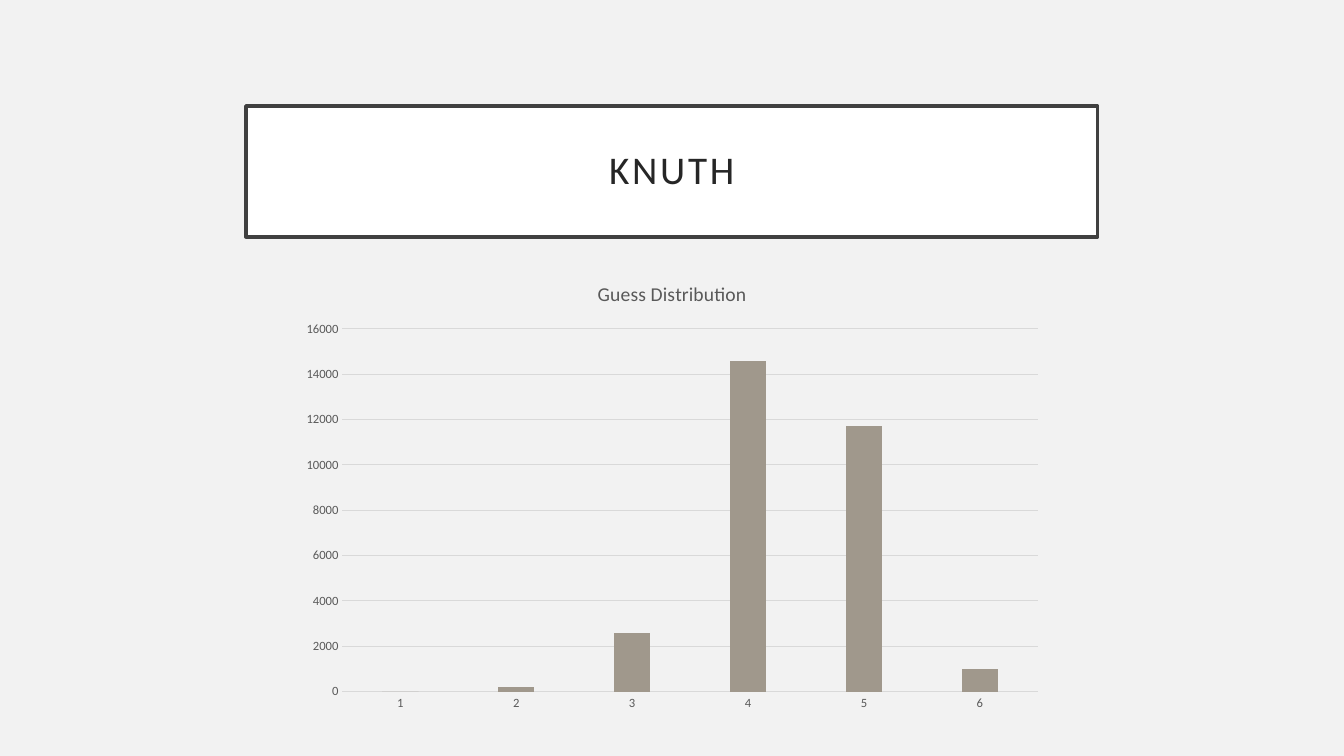
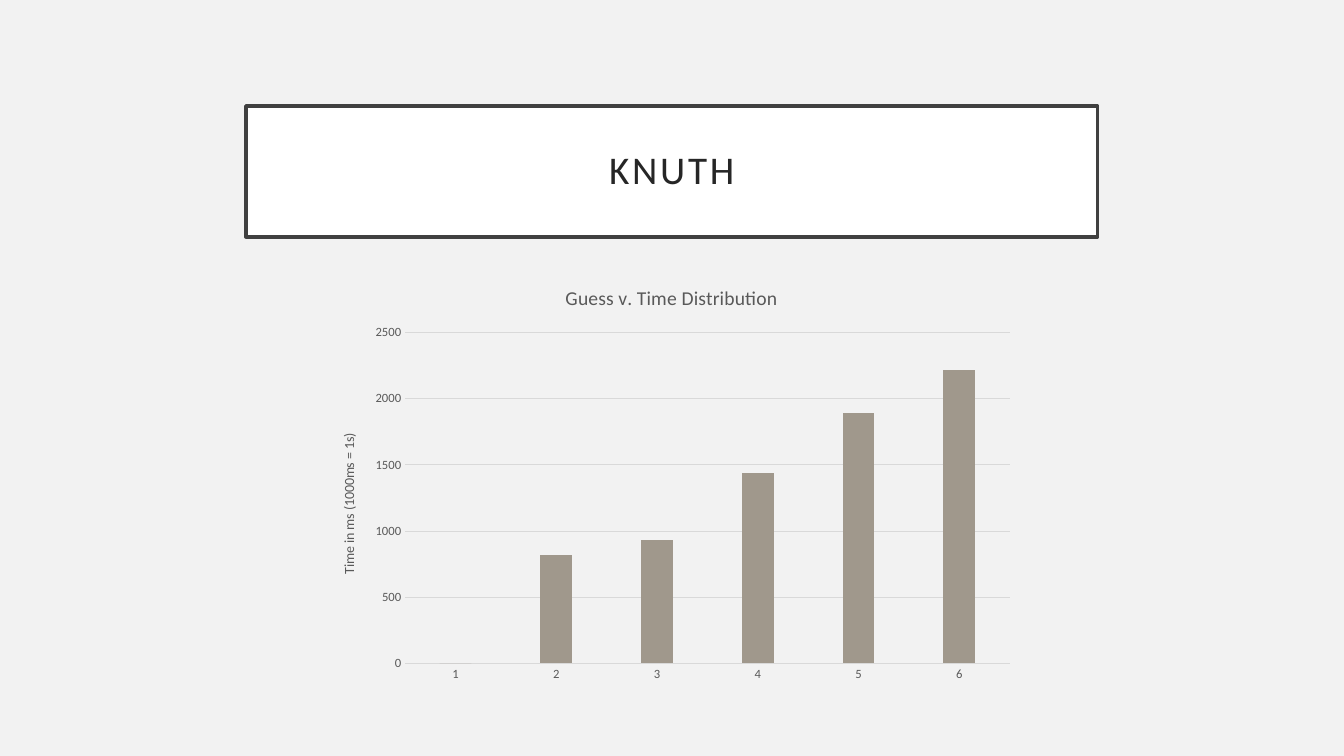
from dataclasses import dataclass

from pptx import Presentation
from pptx.chart.data import CategoryChartData
from pptx.dml.color import RGBColor
from pptx.enum.chart import XL_CHART_TYPE, XL_TICK_MARK
from pptx.enum.text import MSO_ANCHOR, MSO_AUTO_SIZE, PP_ALIGN
from pptx.oxml.ns import qn
from pptx.util import Cm, Pt


@dataclass(frozen=True)
class Theme:
    font: str = "Calibri"
    background: str = "F2F2F2"
    panel: str = "FFFFFF"
    border: str = "404040"
    heading: str = "262626"
    label: str = "595959"
    grid: str = "D9D9D9"
    bar: str = "A0988C"
    heading_size: int = 28
    chart_title_size: int = 14
    axis_title_size: int = 10
    tick_size: int = 9
    letter_spacing: int = 2
    border_width: float = 2.5
    grid_width: float = 0.75


class Deck:
    def __init__(self, theme):
        self.theme = theme
        self.presentation = Presentation()
        self.presentation.slide_width = Cm(33.87)
        self.presentation.slide_height = Cm(19.05)
        self.fill(self.presentation.slide_master.background, theme.background)
        self.slide = None

    def fill(self, part, color):
        part.fill.solid()
        part.fill.fore_color.rgb = RGBColor.from_string(color)

    def stroke(self, line, color, width):
        line.color.rgb = RGBColor.from_string(color)
        line.width = Pt(width)

    def style(self, font, size, color):
        font.name = self.theme.font
        font.size = Pt(size)
        font.bold = False
        font.color.rgb = RGBColor.from_string(color)

    def add_slide(self, heading):
        theme = self.theme
        self.slide = self.presentation.slides.add_slide(
            self.presentation.slide_layouts.get_by_name("Title Only")
        )
        title = self.slide.shapes.title
        title.left, title.top = Cm(6.2), Cm(2.67)
        title.width, title.height = Cm(21.46), Cm(3.3)
        self.fill(title, theme.panel)
        self.stroke(title.line, theme.border, theme.border_width)
        frame = title.text_frame
        frame.text = heading
        frame.auto_size = MSO_AUTO_SIZE.NONE
        frame.vertical_anchor = MSO_ANCHOR.MIDDLE
        frame.margin_left = frame.margin_right = Cm(0.51)
        frame.margin_top = frame.margin_bottom = Cm(0.51)
        paragraph = frame.paragraphs[0]
        paragraph.alignment = PP_ALIGN.CENTER
        paragraph.line_spacing = 0.9
        self.style(paragraph.font, theme.heading_size, theme.heading)
        properties = paragraph._p.pPr.find(qn("a:defRPr"))
        properties.set("spc", str(theme.letter_spacing * 100))

    def caption(self, owner, text, size):
        frame = owner.text_frame
        frame.text = text
        self.style(frame.paragraphs[0].font, size, self.theme.label)

    def add_columns(self, title, values, box, value_title=None):
        theme = self.theme
        data = CategoryChartData()
        data.categories = [str(guess) for guess in range(1, len(values) + 1)]
        data.add_series("Series 1", values)
        chart = self.slide.shapes.add_chart(
            XL_CHART_TYPE.COLUMN_CLUSTERED, *map(Cm, box), data
        ).chart
        chart.font.name = theme.font
        chart.has_legend = False
        self.caption(chart.chart_title, title, theme.chart_title_size)
        chart.chart_title.include_in_layout = False

        plot = chart.plots[0]
        plot.gap_width, plot.overlap = 219, -27
        plot.vary_by_categories = False
        self.fill(plot.series[0].format, theme.bar)

        guesses, amounts = chart.category_axis, chart.value_axis
        for axis in (guesses, amounts):
            axis.major_tick_mark = axis.minor_tick_mark = XL_TICK_MARK.NONE
            self.style(axis.tick_labels.font, theme.tick_size, theme.label)
        self.stroke(guesses.format.line, theme.grid, theme.grid_width)
        amounts.format.line.fill.background()
        self.stroke(amounts.major_gridlines.format.line, theme.grid, theme.grid_width)
        if value_title:
            self.caption(amounts.axis_title, value_title, theme.axis_title_size)


def main():
    deck = Deck(Theme())
    deck.add_slide("KNUTH")
    deck.add_columns(
        "Guess Distribution",
        (0, 200, 2600, 14600, 11700, 1000),
        (7.34, 6.6, 19.2, 11.53),
    )
    deck.add_slide("KNUTH")
    deck.add_columns(
        "Guess v. Time Distribution",
        (0, 820, 930, 1440, 1890, 2220),
        (8.05, 6.73, 17.75, 10.67),
        "Time in ms (1000ms = 1s)",
    )
    deck.presentation.save("out.pptx")


if __name__ == "__main__":
    main()
